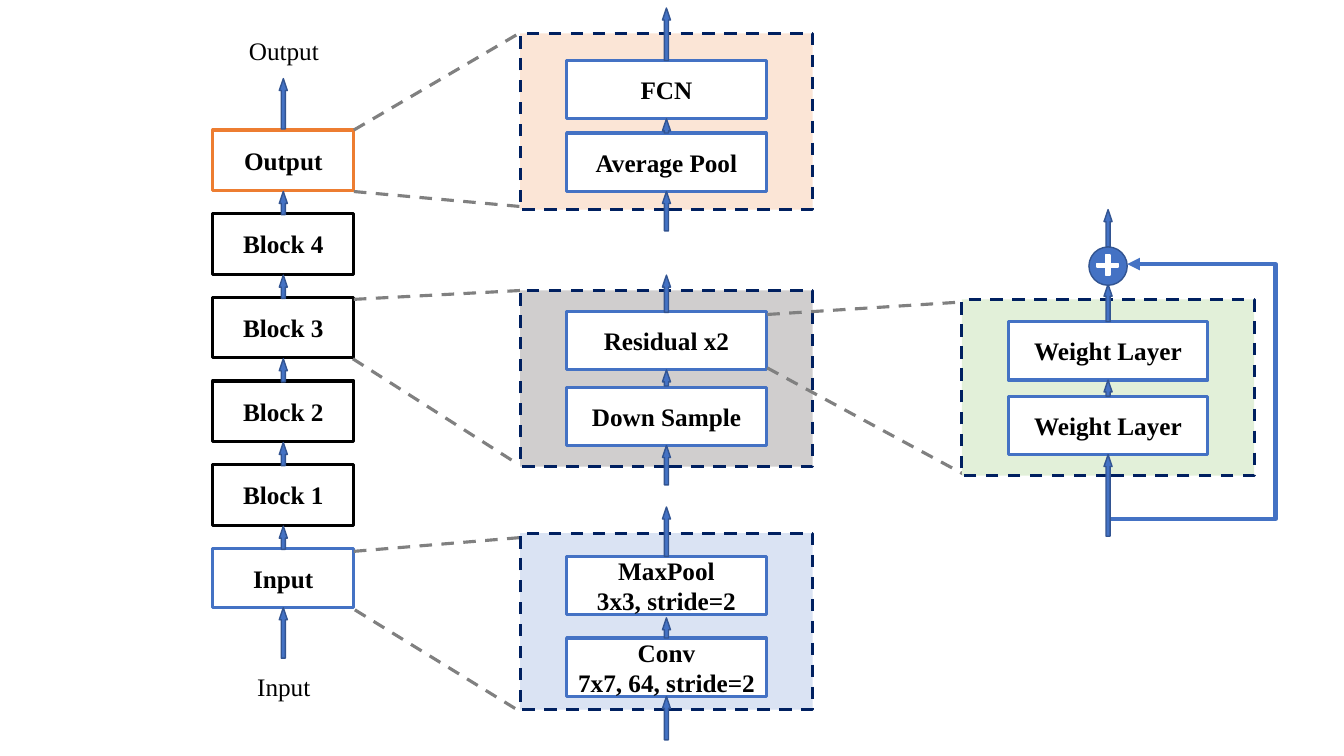
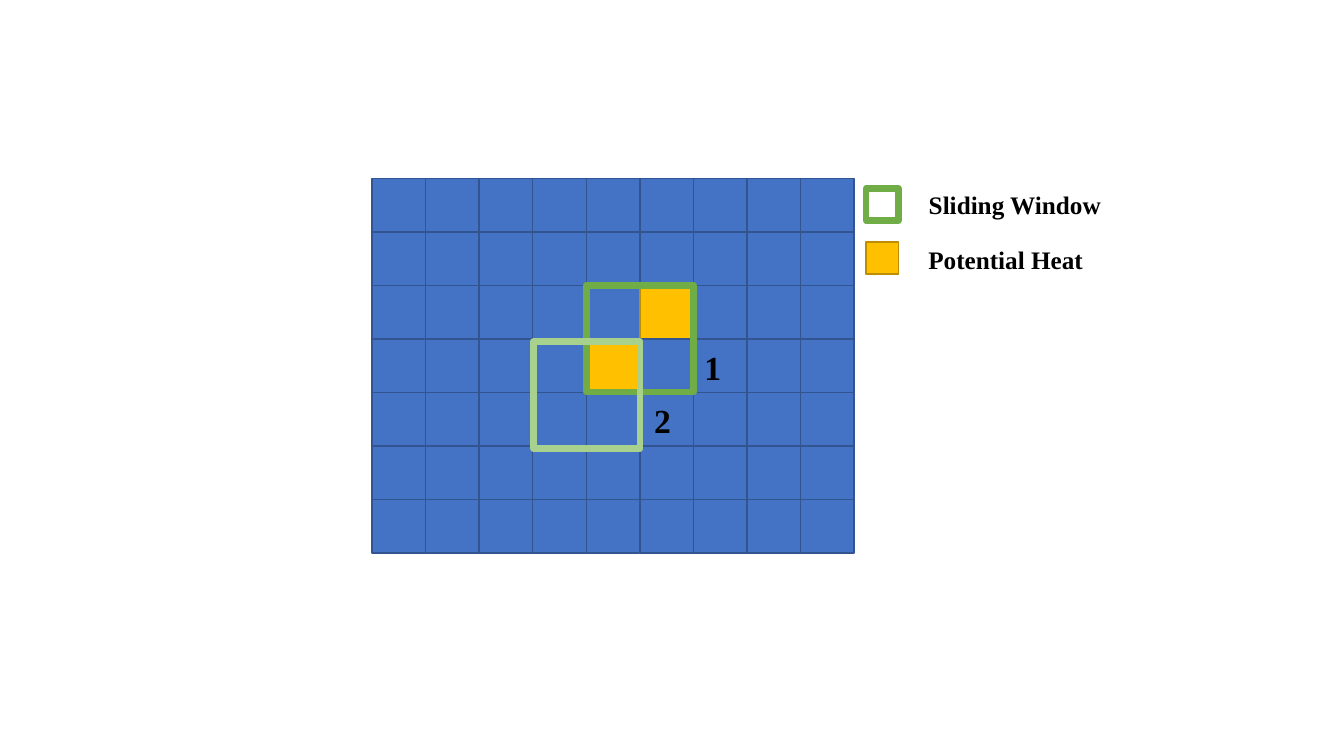
"""Build two slides: a residual network diagram and a sliding-window heat grid."""
from dataclasses import dataclass

from lxml import etree
from pptx import Presentation
from pptx import util as u
from pptx.dml.color import RGBColor
from pptx.enum import dml, shapes, text
from pptx.oxml import ns


@dataclass(frozen=True)
class Theme:
    font: str = "Times New Roman"
    body: int = 18
    number: int = 24
    black: str = "000000"
    white: str = "FFFFFF"
    blue: str = "4472C4"
    blue_edge: str = "325491"
    navy: str = "002060"
    orange: str = "ED7D31"
    gray: str = "808080"
    gold: str = "FFC000"
    gold_edge: str = "BD8E00"
    green: str = "70AD47"
    light_green: str = "A9D18E"
    thin: float = 1
    medium: float = 2.25
    thick: float = 3
    window: float = 4.75


T = Theme()
KIND = shapes.MSO_SHAPE

STAGE_LEFT, STAGE_TOP, STAGE_W, STAGE_PITCH = 2.11, 1.29, 1.4, 0.83
STAGES = [
    ("Output", T.orange, 0.6),
    ("Block 4", T.black, 0.6),
    ("Block 3", T.black, 0.6),
    ("Block 2", T.black, 0.6),
    ("Block 1", T.black, 0.6),
    ("Input", T.blue, 0.59),
]
STAGE_ENDS = [("Output", 2.37, 0.3, 0.89), ("Input", 2.45, 6.61, 0.73)]
STAGE_END_ARROWS = [(0.78, 0.5), (6.03, 0.5)]

PANEL_W, PANEL_H = 2.9, 1.75
LAYER_W, LAYER_H, LAYER_INSET = 1.98, 0.58, 0.46
PANELS = [
    dict(at=(5.16, 0.33), fill="FBE5D6",
         guides=[((3.51, 1.29), (5.15, 0.33)), ((3.51, 1.9), (5.17, 2.05))],
         layers=[(0.6, ["FCN"]), (1.32, ["Average Pool"])],
         arrows=[(0.08, 0.52), (1.18, 0.14), (1.9, 0.39)]),
    dict(at=(5.16, 2.88), fill="D0CECE",
         guides=[((3.51, 2.97), (5.2, 2.88)), ((3.5, 3.56), (5.13, 4.6))],
         layers=[(3.09, ["Residual x2"]), (3.84, ["Down Sample"])],
         arrows=[(2.73, 0.37), (3.67, 0.16), (4.42, 0.39)]),
    dict(at=(5.16, 5.29), fill="DAE3F3",
         guides=[((3.51, 5.47), (5.2, 5.33)), ((3.52, 6.05), (5.16, 7.06))],
         layers=[(5.52, ["MaxPool", "3x3, stride=2"]),
                 (6.33, ["Conv", "7x7, 64, stride=2"])],
         arrows=[(5.03, 0.49), (6.13, 0.2), (6.91, 0.43)]),
    dict(at=(9.54, 2.97), fill="E2F0D9",
         guides=[((7.61, 3.12), (9.64, 2.99)), ((7.61, 3.65), (9.55, 4.7))],
         layers=[(3.19, ["Weight Layer"]), (3.93, ["Weight Layer"])],
         arrows=[(2.08, 0.37), (2.82, 0.37), (3.77, 0.16), (4.51, 0.81)]),
]
SKIP_START, SKIP_END, SKIP_RIGHT = (10.99, 5.15), (11.18, 2.62), 12.65

GRID_LEFT, GRID_TOP, GRID_W, COLS, ROWS = 3.69, 1.77, 4.78, 9, 7
HOT_CELLS = {(2, 5), (3, 4)}
WINDOWS = [
    (5.82, 2.83, 1.06, T.green),
    (5.29, 3.39, 1.06, T.light_green),
    (8.59, 1.87, 0.32, T.green),
]
LEGEND = [("Sliding Window", 9.11, 1.83, 1.91), ("Potential Heat", 9.11, 2.37, 1.73)]
NUMBERS = [("1", 6.88, 3.39, 0.38), ("2", 6.38, 3.92, 0.38)]
HEAT_KEY = (8.59, 2.4, 0.32, 0.32)


def rgb(value):
    return RGBColor.from_string(value)


def inches(values):
    return [u.Inches(v) for v in values]


def write(tf, lines, size=T.body, bold=True):
    tf.margin_left = tf.margin_right = 0
    for i, line in enumerate(lines):
        p = tf.add_paragraph() if i else tf.paragraphs[0]
        p.alignment = text.PP_ALIGN.CENTER
        r = p.add_run()
        r.text = line
        r.font.name, r.font.size, r.font.bold = T.font, u.Pt(size), bold
        r.font.color.rgb = rgb(T.black)


def stroke(line, color, width, dashed=False):
    line.color.rgb = rgb(color)
    line.width = u.Pt(width)
    if dashed:
        line.dash_style = dml.MSO_LINE.DASH


def add_shape(s, box, fill, edge, width=T.thin, kind=KIND.RECTANGLE,
              adj=(), lines=(), dashed=False):
    sp = s.shapes.add_shape(kind, *inches(box))
    sp.shadow.inherit = False
    for i, value in enumerate(adj):
        sp.adjustments[i] = value
    if fill:
        sp.fill.solid()
        sp.fill.fore_color.rgb = rgb(fill)
    else:
        sp.fill.background()
    stroke(sp.line, edge, width, dashed)
    if lines:
        sp.text_frame.vertical_anchor = text.MSO_ANCHOR.MIDDLE
        write(sp.text_frame, lines)


def add_label(s, label, left, top, width, height=0.4, size=T.body, bold=True):
    tf = s.shapes.add_textbox(*inches((left, top, width, height))).text_frame
    tf.word_wrap = False
    write(tf, [label], size, bold)


def add_arrow(s, center, top, height):
    add_shape(s, (center - 0.04, top, 0.08, height), T.blue, T.blue_edge,
              kind=KIND.UP_ARROW, adj=(0.5, 1.487))


def add_line(s, start, end, color, width, kind=shapes.MSO_CONNECTOR.STRAIGHT, dashed=False):
    cx = s.shapes.add_connector(kind, *inches(start + end))
    stroke(cx.line, color, width, dashed)
    etree.SubElement(cx._element.spPr, ns.qn("a:effectLst"))
    return cx


def add_skip(s):
    cx = add_line(s, SKIP_START, SKIP_END, T.blue, T.thick, shapes.MSO_CONNECTOR.ELBOW)
    bend = (SKIP_RIGHT - SKIP_START[0]) / (SKIP_END[0] - SKIP_START[0])
    guides = cx._element.spPr.find(ns.qn("a:prstGeom")).get_or_add_avLst()
    etree.SubElement(guides, ns.qn("a:gd"), name="adj1", fmla=f"val {round(bend * 100000)}")
    etree.SubElement(cx.line._get_or_add_ln(), ns.qn("a:tailEnd"), type="triangle")


def add_stages(s):
    center = STAGE_LEFT + STAGE_W / 2
    tops = [STAGE_TOP + i * STAGE_PITCH for i in range(len(STAGES))]
    for top, (name, edge, height) in zip(tops, STAGES):
        add_shape(s, (STAGE_LEFT, top, STAGE_W, height), T.white, edge, T.medium, lines=[name])
    for top in tops[1:]:
        add_arrow(s, center, top - 0.22, 0.23)
    for top, height in STAGE_END_ARROWS:
        add_arrow(s, center, top, height)
    for label in STAGE_ENDS:
        add_label(s, *label, bold=False)


def add_panel(s, panel):
    left, top = panel["at"]
    for start, end in panel["guides"]:
        add_line(s, start, end, T.gray, T.medium, dashed=True)
    add_shape(s, (left, top, PANEL_W, PANEL_H), panel["fill"], T.navy, T.medium, dashed=True)
    for y, lines in panel["layers"]:
        add_shape(s, (left + LAYER_INSET, y, LAYER_W, LAYER_H), T.white, T.blue,
                  T.medium, lines=lines)


def build_network(s):
    add_stages(s)
    for panel in PANELS:
        add_panel(s, panel)
    add_skip(s)
    for panel in PANELS:
        for top, height in panel["arrows"]:
            add_arrow(s, panel["at"][0] + PANEL_W / 2, top, height)
    add_shape(s, (10.8, 2.45, 0.38, 0.38), T.blue, T.blue_edge, kind=KIND.OVAL)
    add_shape(s, (10.88, 2.53, 0.21, 0.2), T.white, T.white, kind=KIND.CROSS, adj=(0.41,))


def build_heat_grid(s):
    cell = GRID_W / COLS
    heat, cold = (T.gold, T.gold_edge), (T.blue, T.blue_edge)
    for row in range(ROWS):
        for col in range(COLS):
            box = (GRID_LEFT + col * cell, GRID_TOP + row * cell, cell, cell)
            add_shape(s, box, *(heat if (row, col) in HOT_CELLS else cold))
    for left, top, side, edge in WINDOWS:
        add_shape(s, (left, top, side, side), None, edge, T.window)
    add_shape(s, HEAT_KEY, *heat)
    for label in LEGEND:
        add_label(s, *label)
    for label in NUMBERS:
        add_label(s, *label, height=0.5, size=T.number)


def main():
    prs = Presentation()
    prs.slide_width, prs.slide_height = inches((13.33, 7.5))
    for build in (build_network, build_heat_grid):
        build(prs.slides.add_slide(prs.slide_layouts[6]))
    prs.save("out.pptx")


if __name__ == "__main__":
    main()
